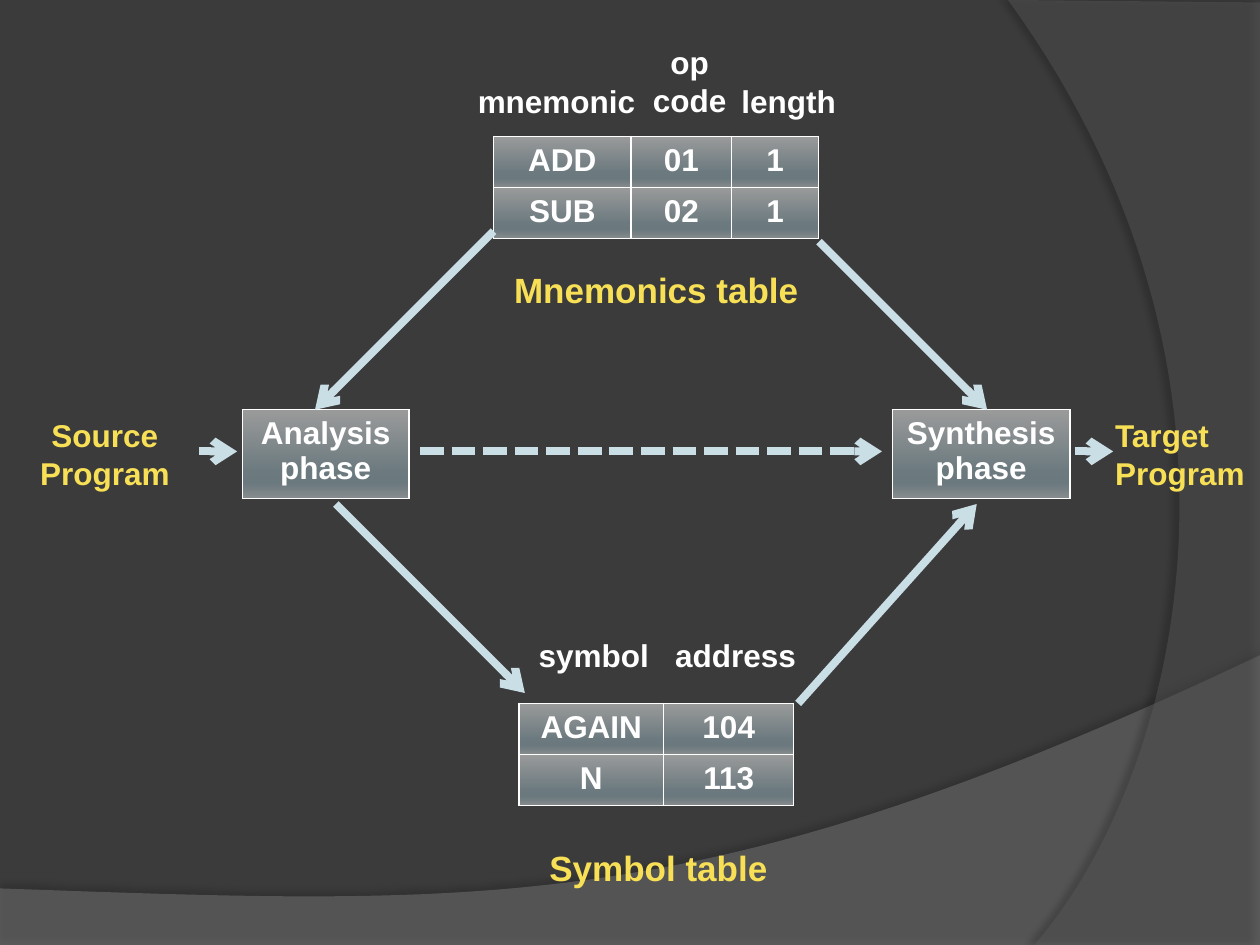
from pptx import Presentation
from pptx.dml.color import RGBColor
from pptx.enum.dml import MSO_LINE
from pptx.enum.shapes import MSO_CONNECTOR
from pptx.enum.text import MSO_AUTO_SIZE, PP_ALIGN
from pptx.oxml import parse_xml
from pptx.oxml.ns import nsdecls, qn
from pptx.util import Cm, Pt
from lxml import etree

BACKGROUND = RGBColor(0x3B, 0x3B, 0x3B)
WAVE = RGBColor(0x7F, 0x7F, 0x7F)
ARC = RGBColor(0x5E, 0x5E, 0x5E)
WHITE = RGBColor(0xFF, 0xFF, 0xFF)
YELLOW = RGBColor(0xF7, 0xDF, 0x56)
ARROW = RGBColor(0xCA, 0xDE, 0xE6)
STOPS = [(0, "FEFEFE"), (68, "A0BCC6"), (81, "9CB9C4"), (86, "A7C0C9"), (100, "DAE4E7")]
CENTER, LEFT = PP_ALIGN.CENTER, PP_ALIGN.LEFT
STRAIGHT = MSO_CONNECTOR.STRAIGHT
DASH = MSO_LINE.SQUARE_DOT
FIT = MSO_AUTO_SIZE.SHAPE_TO_FIT_TEXT


def bezier(p0, p1, p2, p3, steps=60):
    """Return points along a cubic curve, both ends included."""
    points = []
    for i in range(steps + 1):
        t = i / steps
        u = 1 - t
        points.append(tuple(u**3 * a + 3 * u * u * t * b + 3 * u * t * t * c + t**3 * d
                            for a, b, c, d in zip(p0, p1, p2, p3)))
    return points


class Diagram:
    font = {"name": "Arial", "bold": True}

    def __init__(self, slide):
        self.s = slide
        fill = slide.background.fill
        fill.solid()
        fill.fore_color.rgb = BACKGROUND

    def fill_text(self, tf, text, size=18, color=WHITE, align=CENTER):
        for i, line in enumerate(text.split("\n")):
            p = tf.paragraphs[0] if i == 0 else tf.add_paragraph()
            p.alignment = align
            r = p.add_run()
            r.text = line
            for key, value in {**self.font, "size": Pt(size)}.items():
                setattr(r.font, key, value)
            r.font.color.rgb = color

    def text(self, text, x, y, w, h, wrap=False, **style):
        tf = self.s.shapes.add_textbox(Cm(x), Cm(y), Cm(w), Cm(h)).text_frame
        tf.word_wrap = wrap
        tf.auto_size = FIT
        self.fill_text(tf, text, **style)

    def table(self, rows, x, y, widths, row_height):
        frame = self.s.shapes.add_table(len(rows), len(widths), Cm(x), Cm(y),
                                        Cm(sum(widths)), Cm(row_height * len(rows)))
        table = frame.table
        table.first_row = table.horz_banding = False
        for column, width in zip(table.columns, widths):
            column.width = Cm(width)
        for row, values in zip(table.rows, rows):
            row.height = Cm(row_height)
            for cell, value in zip(row.cells, values):
                self.fill_text(cell.text_frame, value)
                self.style_cell(cell)

    def style_cell(self, cell):
        """Add white borders and the half-transparent steel gradient."""
        tcPr = cell._tc.get_or_add_tcPr()
        for side in "LRTB":
            tcPr.append(parse_xml(
                f'<a:ln{side} {nsdecls("a")} w="12700"><a:solidFill>'
                f'<a:srgbClr val="{WHITE}"/></a:solidFill></a:ln{side}>'))
        stops = "".join(
            f'<a:gs pos="{pos * 1000}"><a:srgbClr val="{color}">'
            f'<a:alpha val="50000"/></a:srgbClr></a:gs>' for pos, color in STOPS)
        tcPr.append(parse_xml(
            f'<a:gradFill {nsdecls("a")} rotWithShape="1"><a:gsLst>{stops}</a:gsLst>'
            f'<a:lin ang="5400000" scaled="0"/></a:gradFill>'))

    def arrow(self, x1, y1, x2, y2, dash=None):
        line = self.s.shapes.add_connector(STRAIGHT, Cm(x1), Cm(y1), Cm(x2), Cm(y2))
        line.line.color.rgb = ARROW
        line.line.width = Pt(4.5)
        if dash:
            line.line.dash_style = dash
        spPr = line._element.spPr
        etree.SubElement(spPr.find(qn("a:ln")), qn("a:tailEnd"), type="arrow")
        etree.SubElement(spPr, qn("a:effectLst"))

    def backdrop(self, points, color, opacity, shade, distance, direction):
        """Draw a translucent outline with a soft black shadow."""
        start, *rest = [(Cm(x), Cm(y)) for x, y in points]
        builder = self.s.shapes.build_freeform(*start)
        builder.add_line_segments(rest, close=True)
        shape = builder.convert_to_shape()
        shape.fill.solid()
        shape.fill.fore_color.rgb = color
        shape.line.fill.background()
        shape.shadow.inherit = False
        spPr = shape._element.spPr
        fill_color = spPr.find(qn("a:solidFill")).find(qn("a:srgbClr"))
        etree.SubElement(fill_color, qn("a:alpha"), val=str(opacity * 1000))
        spPr.find(qn("a:effectLst")).append(parse_xml(
            f'<a:outerShdw {nsdecls("a")} blurRad="{Pt(4)}" dist="{Pt(distance)}" '
            f'dir="{direction * 60000}" algn="ctr" rotWithShape="0"><a:srgbClr val="000000">'
            f'<a:alpha val="{shade * 1000}"/></a:srgbClr></a:outerShdw>'))


def main():
    prs = Presentation()
    prs.slide_width, prs.slide_height = Cm(25.4), Cm(19.05)
    d = Diagram(prs.slides.add_slide(prs.slide_layouts[6]))

    wave = bezier((25.4, 13.21), (14.2, 18.52), (9.93, 18.26), (0, 17.91))
    d.backdrop(wave + [(0, 19.05), (25.4, 19.05)], WAVE, 45, 35, 3.5, 270)
    arc = bezier((20.85, 19.05), (23.75, 15.72), (25.86, 7.62), (20.32, 0))
    d.backdrop(arc + [(25.4, 0.05), (25.4, 19.05)], ARC, 40, 45, 4, 180)

    d.table([("ADD", "01", "1"), ("SUB", "02", "1")], 9.95, 2.75, (2.77, 2.03, 1.75), 1.03)
    d.table([("AGAIN", "104"), ("N", "113")], 10.46, 14.18, (2.92, 2.62), 1.03)
    d.table([("Analysis\nphase",)], 4.89, 8.26, (3.35,), 1.79)
    d.table([("Synthesis\nphase",)], 17.99, 8.26, (3.58,), 1.79)

    d.arrow(9.95, 4.66, 6.35, 8.26)
    d.arrow(6.77, 10.16, 10.58, 13.97)
    d.arrow(16.51, 4.87, 19.9, 8.26)
    d.arrow(16.09, 14.18, 19.69, 10.16)
    d.arrow(8.47, 9.1, 17.78, 9.1, dash=DASH)
    d.arrow(4.02, 9.1, 4.78, 9.1)
    d.arrow(21.67, 9.1, 22.44, 9.1)

    d.text("mnemonic", 8.91, 1.52, 4.62, 1.02, wrap=True)
    d.text("op\ncode", 12.9, 0.74, 2.01, 1.8)
    d.text("length", 14.68, 1.52, 2.44, 1.02)
    d.text("Source\nProgram", 0.42, 8.26, 3.39, 1.8, wrap=True, color=YELLOW)
    d.text("Target\nProgram", 22.23, 8.26, 3.18, 1.8, wrap=True, color=YELLOW, align=LEFT)
    d.text("Mnemonics table", 9.95, 5.29, 6.56, 1.11, wrap=True, size=20, color=YELLOW)
    d.text("Symbol table", 10.8, 16.93, 4.95, 1.11, size=20, color=YELLOW)
    d.text("symbol", 10.58, 12.7, 2.78, 1.02)
    d.text("address", 13.34, 12.7, 2.98, 1.02)

    prs.save("out.pptx")


if __name__ == "__main__":
    main()
